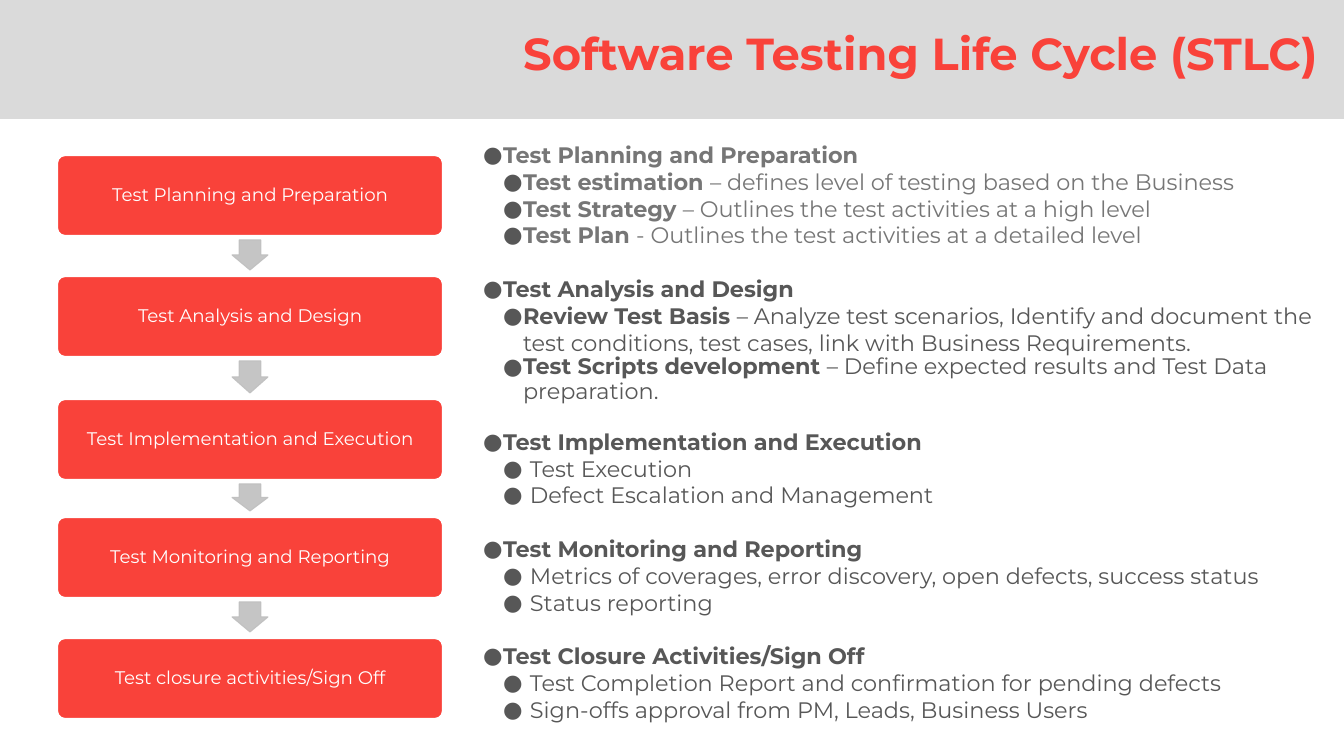
from pptx import Presentation
from pptx.dml.color import RGBColor
from pptx.enum.shapes import MSO_SHAPE
from pptx.enum.text import MSO_ANCHOR, MSO_AUTO_SIZE, PP_ALIGN
from pptx.oxml.ns import qn
from pptx.util import Pt
from lxml import etree

RECT, CARD, ARROW = MSO_SHAPE.RECTANGLE, MSO_SHAPE.ROUNDED_RECTANGLE, MSO_SHAPE.DOWN_ARROW
TOP, MIDDLE, BOTTOM = MSO_ANCHOR.TOP, MSO_ANCHOR.MIDDLE, MSO_ANCHOR.BOTTOM
CENTER, RIGHT, LEFT = PP_ALIGN.CENTER, PP_ALIGN.RIGHT, PP_ALIGN.LEFT
FONT = "Montserrat"
RED, WHITE, BAND, SILVER = "F9423A", "FFFFFF", "DADADA", "BFBFBF"
DARK, MUTED = "575757", "767676"

# Content
TITLE = "Software Testing Life Cycle (STLC)"
STEPS = [  # label, top in px
    ("Test Planning and Preparation", 155),
    ("Test Analysis and Design", 276),
    ("Test Implementation and Execution", 399),
    ("Test Monitoring and Reporting", 517),
    ("Test closure activities/Sign Off", 638),
]
# heading, colour, item margin in px, space before in pt, items (bold lead, text, line spacing)
SECTIONS = [
    ("Test Planning and Preparation", MUTED, 40, 0, [
        ("Test estimation ", "– defines level of testing based on the Business", 1.0),
        ("Test Strategy ", "– Outlines the test activities at a high level", 1.0),
        ("Test Plan ", "- Outlines the test activities at a detailed level", 1.0),
    ]),
    ("Test Analysis and Design", DARK, 40, 19, [
        ("Review Test Basis ", "– Analyze test scenarios, Identify and document the test "
         "conditions, test cases, link with Business Requirements.", 1.0),
        ("Test Scripts development ",
         "– Define expected results and Test Data preparation.", 0.9),
    ]),
    ("Test Implementation and Execution", DARK, 47, 17, [
        ("", "Test Execution", 1.0),
        ("", "Defect Escalation and Management", 1.0),
    ]),
    ("Test Monitoring and Reporting", DARK, 47, 19, [
        ("", "Metrics of coverages, error discovery, open defects, success status", 1.0),
        ("", "Status reporting", 1.0),
    ]),
    ("Test Closure Activities/Sign Off", DARK, 47, 19, [
        ("", "Test Completion Report and confirmation for pending defects", 1.0),
        ("", "Sign-offs approval from PM, Leads, Business Users", 1.0),
    ]),
]

# Layout in px
PAGE_W, PAGE_H = 1344, 756
CARD_X, CARD_W, CARD_H = 57, 386, 81
ARROW_W, ARROW_GAP = 36, 5
BULLET_X = 20


def px(value):
    return round(value * 914400 / 100.8)


def rgb(value):
    return RGBColor.from_string(value)


def place(shape, x, y, w, h):
    shape.left, shape.top, shape.width, shape.height = px(x), px(y), px(w), px(h)


def add_shape(kind, x, y, w, h, fill, line=None, weight=0):
    shape = page.shapes.add_shape(kind, px(x), px(y), px(w), px(h))
    shape.shadow.inherit = False
    shape.fill.solid()
    shape.fill.fore_color.rgb = rgb(fill)
    if line:
        shape.line.color.rgb = rgb(line)
        shape.line.width = Pt(weight)
    else:
        shape.line.fill.background()
    return shape


def set_frame(frame, anchor, inset_x, inset_y):
    frame.word_wrap = True
    frame.auto_size = MSO_AUTO_SIZE.NONE
    frame.vertical_anchor = anchor
    frame.margin_left = frame.margin_right = px(inset_x)
    frame.margin_top = frame.margin_bottom = px(inset_y)


def style(span, size, color, bold=False):
    span.font.name = FONT
    span.font.size = Pt(size)
    span.font.bold = bold
    span.font.color.rgb = rgb(color)


def set_bullet(para, margin, hanging):
    props = para._p.get_or_add_pPr()
    props.set("marL", str(px(margin)))
    props.set("indent", str(-px(hanging)))
    color = etree.SubElement(props, qn("a:buClr"))
    etree.SubElement(color, qn("a:srgbClr"), val=DARK)
    etree.SubElement(props, qn("a:buFont"), typeface=FONT)
    etree.SubElement(props, qn("a:buChar"), char="●")


def add_line(frame, lead, text, color, level, margin, hanging, before, spacing):
    para = frame.paragraphs[0]
    if para.runs:
        para = frame.add_paragraph()
    para.level = level
    para.alignment = LEFT
    para.line_spacing = spacing
    para.space_before, para.space_after = Pt(before), Pt(0)
    set_bullet(para, margin, hanging)
    for words, bold in ((lead, True), (text, False)):
        if words:
            span = para.add_run()
            span.text = words
            style(span, 16, color, bold)


deck = Presentation()
deck.slide_width, deck.slide_height = px(PAGE_W), px(PAGE_H)
page = deck.slides.add_slide(deck.slide_layouts[1])
title, body = page.placeholders

# Header band, behind the title
band = add_shape(RECT, 0, 0, PAGE_W, 119, BAND)
title._element.addprevious(band._element)
place(title, 159, 24, 1159, 55)
title.text_frame.text = TITLE
set_frame(title.text_frame, BOTTOM, 0, 0)
heading = title.text_frame.paragraphs[0]
heading.alignment = RIGHT
style(heading.runs[0], 32, RED, True)

# Step cards
for label, top in STEPS:
    card = add_shape(CARD, CARD_X, top, CARD_W, CARD_H, RED, WHITE, 1.5)
    card.adjustments[0] = 0.1
    card.text_frame.text = label
    set_frame(card.text_frame, MIDDLE, 5, 5)
    para = card.text_frame.paragraphs[0]
    para.alignment = CENTER
    para.line_spacing = 0.9
    style(para.runs[0], 13, WHITE)

# Arrows fill the gaps between cards
for (_, top), (_, next_top) in zip(STEPS, STEPS[1:]):
    start = top + CARD_H + ARROW_GAP
    arrow = add_shape(ARROW, CARD_X + (CARD_W - ARROW_W) / 2, start - 1,
                      ARROW_W, next_top - ARROW_GAP - start, SILVER, SILVER, 0.75)
    arrow.adjustments[0], arrow.adjustments[1] = 0.6, 0.5
    for color in arrow._element.spPr.iter(qn("a:srgbClr")):
        etree.SubElement(color, qn("a:alpha"), val="90000")

# Bulleted details
place(body, 473, 136, 856, 607)
set_frame(body.text_frame, TOP, 10, 5)
for name, color, margin, before, items in SECTIONS:
    add_line(body.text_frame, name, "", color, 0, BULLET_X, BULLET_X, before, 1.0)
    for lead, text, spacing in items:
        add_line(body.text_frame, lead, text, color, 1, margin, margin - BULLET_X, 0, spacing)

deck.save("out.pptx")
